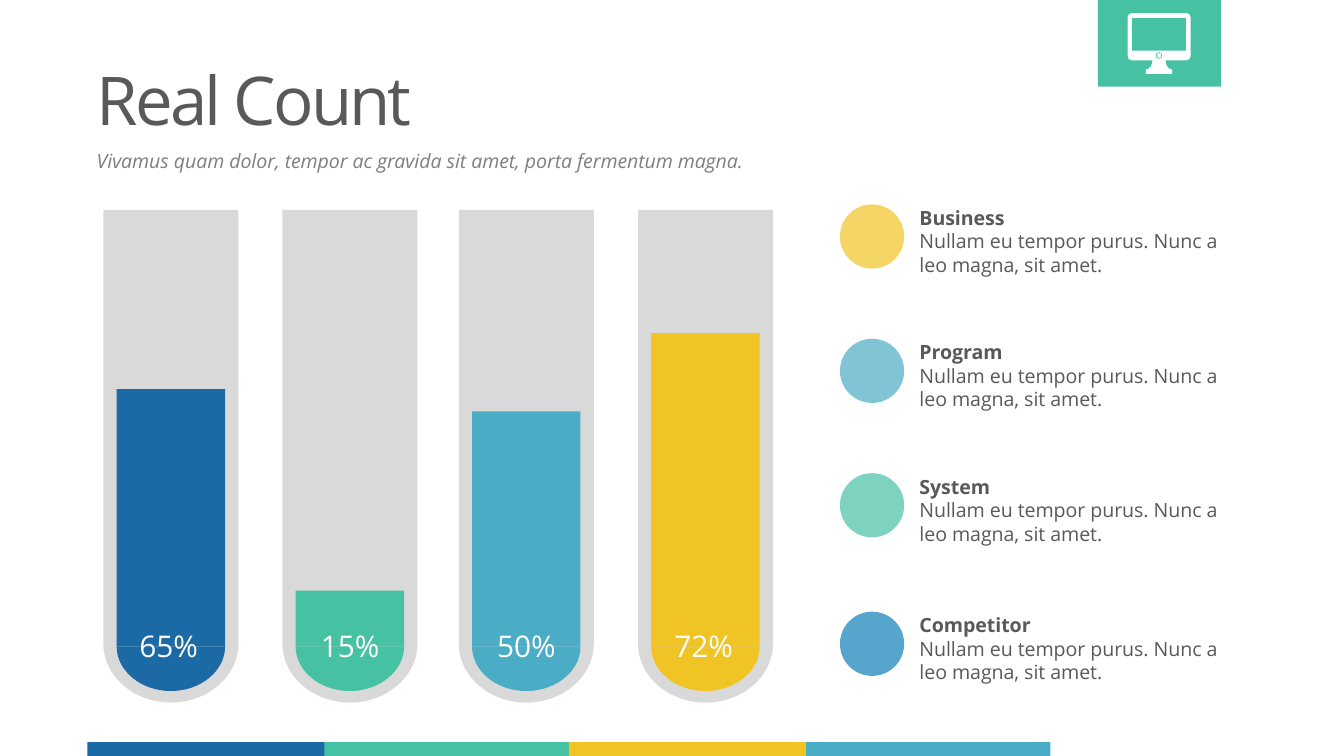
"""Build the Real Count slide with four gauge tubes and a legend."""
from dataclasses import dataclass

import lxml.etree
import pptx
import pptx.dml.color
import pptx.enum.shapes
import pptx.enum.text
import pptx.oxml.ns
import pptx.util

Pt = pptx.util.Pt
Anchor = pptx.enum.text.MSO_ANCHOR
Align = pptx.enum.text.PP_ALIGN
Fit = pptx.enum.text.MSO_AUTO_SIZE
Kind = pptx.enum.shapes.MSO_SHAPE
qn = pptx.oxml.ns.qn


@dataclass(frozen=True)
class Theme:
    font: str = "Open Sans"
    blue: str = "1B6AA5"
    green: str = "46C1A4"
    footer_green: str = "45C1A4"
    cyan: str = "4BACC6"
    yellow: str = "F0C424"
    sky: str = "0F7FB7"
    tube: str = "D9D9D9"
    white: str = "FFFFFF"
    dark: str = "595959"
    muted: str = "808080"
    title_size: float = 36
    body_size: float = 10.5
    value_size: float = 16


@dataclass(frozen=True)
class Step:
    """An outline point, reached straight or by a quarter turn leaving "h" or "v"."""
    x: float
    y: float
    bend: str = ""


@dataclass(frozen=True)
class Gauge:
    left: float
    level_top: float
    value: str
    color: str
    label_left: float


@dataclass(frozen=True)
class LegendItem:
    top: float
    name: str
    color: str


THEME = Theme()
GAUGES = [
    Gauge(341.8, 178.4, "72%", THEME.yellow, 348.8),
    Gauge(245.8, 220.4, "50%", THEME.cyan, 253.9),
    Gauge(151.3, 316.4, "15%", THEME.green, 159.5),
    Gauge(55.4, 208.4, "65%", THEME.blue, 62.3),
]
LEGEND = [
    LegendItem(100.8, "Business", THEME.yellow),
    LegendItem(172.8, "Program", THEME.cyan),
    LegendItem(244.8, "System", THEME.green),
    LegendItem(319, "Competitor", THEME.sky),
]
LEGEND_TEXT = "Nullam eu tempor purus. Nunc a leo magna, sit amet."
FOOTER = [(46.8, THEME.blue), (173.8, THEME.footer_green),
          (304.8, THEME.yellow), (431.8, THEME.cyan)]


def paint(shape, color: str, alpha: int = 100) -> None:
    """Give a shape a flat fill without line or shadow."""
    shape.shadow.inherit = False
    shape.fill.solid()
    shape.fill.fore_color.rgb = pptx.dml.color.RGBColor.from_string(color)
    shape.line.fill.background()
    if alpha < 100:
        tint = next(shape._element.spPr.iter(qn("a:srgbClr")))
        lxml.etree.SubElement(tint, qn("a:alpha")).set("val", str(alpha * 1000))


def add_preset(page, kind, left: float, top: float, width: float, height: float,
               color: str, alpha: int = 100) -> None:
    """Draw a filled preset shape."""
    shape = page.shapes.add_shape(kind, Pt(left), Pt(top), Pt(width), Pt(height))
    paint(shape, color, alpha)


def segment(start: Step, end: Step) -> list[tuple[float, float]]:
    """Return the end point, preceded by two control points when it bends."""
    reach = 0.55
    across, down = reach * (end.x - start.x), reach * (end.y - start.y)
    controls = {"": [],
                "h": [(start.x + across, start.y), (end.x, end.y - down)],
                "v": [(start.x, start.y + down), (end.x - across, end.y)]}
    return controls[end.bend] + [(end.x, end.y)]


def add_outline(page, contours: list[list[Step]], color: str) -> None:
    """Draw closed contours as one filled freeform with curved corners."""
    grain = 100
    first = contours[0][0]
    builder = page.shapes.build_freeform(first.x * grain, first.y * grain, Pt(1) / grain)
    sizes = []
    for contour in contours:
        if contour is not contours[0]:
            builder.move_to(contour[0].x * grain, contour[0].y * grain)
        segments = [segment(start, end) for start, end in zip(contour, contour[1:])]
        sizes += [len(points) for points in segments]
        builder.add_line_segments([(x * grain, y * grain) for points in segments for x, y in points])
    shape = builder.convert_to_shape()
    lines = iter(list(shape._element.spPr.iter(qn("a:lnTo"))))
    for size in sizes:
        group = [next(lines) for _ in range(size)]
        if size == 3:
            curve = lxml.etree.Element(qn("a:cubicBezTo"))
            group[0].addprevious(curve)
            for line in group:
                curve.append(line[0])
                line.getparent().remove(line)
    paint(shape, color)


def add_text(page, left: float, top: float, width: float, height: float,
             frame_format: dict, inset: tuple[float, float] = (7.2, 3.6)):
    """Add a text box and return its frame."""
    box = page.shapes.add_textbox(Pt(left), Pt(top), Pt(width), Pt(height))
    frame = box.text_frame
    side, edge = Pt(inset[0]), Pt(inset[1])
    values = {"word_wrap": True, "auto_size": Fit.SHAPE_TO_FIT_TEXT,
              "margin_left": side, "margin_right": side,
              "margin_top": edge, "margin_bottom": edge} | frame_format
    for name, value in values.items():
        setattr(frame, name, value)
    return frame


def write(para, text: str, size: float, color: str, **font_format):
    """Add a styled run to a paragraph."""
    span = para.add_run()
    span.text = text
    for name, value in ({"name": THEME.font, "size": Pt(size)} | font_format).items():
        setattr(span.font, name, value)
    span.font.color.rgb = pptx.dml.color.RGBColor.from_string(color)
    return span


def draw_monitor(page) -> None:
    """Draw the badge with its monitor icon."""
    add_preset(page, Kind.RECTANGLE, 588.1, 0, 65.9, 46.4, THEME.green)
    left, top, right, bottom, radius = 604.1, 7, 637.8, 32.3, 2.2
    body = [Step(right - radius, top), Step(right, top + radius, "h"),
            Step(right, bottom - radius), Step(right - radius, bottom, "v"),
            Step(624.4, bottom), Step(627.9, 37.2, "v"), Step(627.9, 39.5),
            Step(613.9, 39.5), Step(613.9, 37.2), Step(617.4, bottom, "h"),
            Step(left + radius, bottom), Step(left, bottom - radius, "h"),
            Step(left, top + radius), Step(left + radius, top, "v"), Step(right - radius, top)]
    screen = [Step(635.4, 27.2), Step(606.4, 27.2), Step(606.4, 9.6),
              Step(635.4, 9.6), Step(635.4, 27.2)]
    button = [Step(619.1, 29.7), Step(620.9, 27.9, "v"), Step(622.7, 29.7, "h"),
              Step(620.9, 31.5, "v"), Step(619.1, 29.7, "h")]
    add_outline(page, [body, button, screen], THEME.white)
    add_preset(page, Kind.OVAL, 619.8, 28.4, 2.3, 2.6, THEME.white)


def draw_gauge(page, gauge: Gauge) -> None:
    """Draw a tube, its filled level and its value."""
    width, inset, tube_top, tube_bend, level_bend = 72.3, 7.1, 112.5, 344.9, 346.3
    left, center, right = gauge.left, gauge.left + width / 2, gauge.left + width
    tube = [Step(right, tube_bend), Step(center, 376.4, "v"), Step(left, tube_bend, "h"),
            Step(left, tube_top), Step(right, tube_top), Step(right, tube_bend)]
    level_left, level_right = left + inset, right - inset
    cap = [Step(level_right, level_bend), Step(center, 370.2, "v"),
           Step(level_left, level_bend, "h"), Step(level_right, level_bend)]
    add_outline(page, [tube], THEME.tube)
    add_outline(page, [cap], gauge.color)
    add_preset(page, Kind.RECTANGLE, level_left, gauge.level_top,
               level_right - level_left, level_bend - gauge.level_top, gauge.color)
    para = add_text(page, gauge.label_left, 332.6, 56.2, 26.6, {}).paragraphs[0]
    para.alignment = Align.CENTER
    write(para, gauge.value, THEME.value_size, THEME.white)


def draw_legend_item(page, item: LegendItem) -> None:
    """Draw a legend dot with its name and description."""
    frame = add_text(page, 485.5, item.top - 0.4, 186.5, 51.8, {})
    heading = frame.paragraphs[0]
    heading.line_spacing = 1.5
    write(heading, item.name, THEME.body_size, THEME.dark, bold=True)
    write(frame.add_paragraph(), LEGEND_TEXT, THEME.body_size, THEME.dark, bold=False)
    add_preset(page, Kind.OVAL, 450, item.top + 8.7, 34.4, 34.4, item.color, alpha=70)


def main() -> None:
    """Build and save the deck."""
    deck = pptx.Presentation()
    deck.slide_width, deck.slide_height = Pt(720), Pt(405)
    page = deck.slides.add_slide(deck.slide_layouts[6])
    for left, color in FOOTER:
        add_preset(page, Kind.RECTANGLE, left, 397.6, 131, 7.4, color)
    draw_monitor(page)
    title = add_text(page, 48.2, 29.2, 183.6, 47.5, {"word_wrap": False}, (3.6, 2.2))
    span = write(title.paragraphs[0], "Real Count", THEME.title_size, THEME.dark)
    span._r.get_or_add_rPr().set("spc", "-150")
    subtitle = add_text(page, 48.2, 77.4, 378, 17.3, {"vertical_anchor": Anchor.MIDDLE}, (3.6, 2.2))
    write(subtitle.paragraphs[0],
          "Vivamus quam dolor, tempor ac gravida sit amet, porta fermentum magna.",
          THEME.body_size, THEME.muted, italic=True)
    for item in LEGEND:
        draw_legend_item(page, item)
    for gauge in GAUGES:
        draw_gauge(page, gauge)
    deck.save("out.pptx")


if __name__ == "__main__":
    main()
